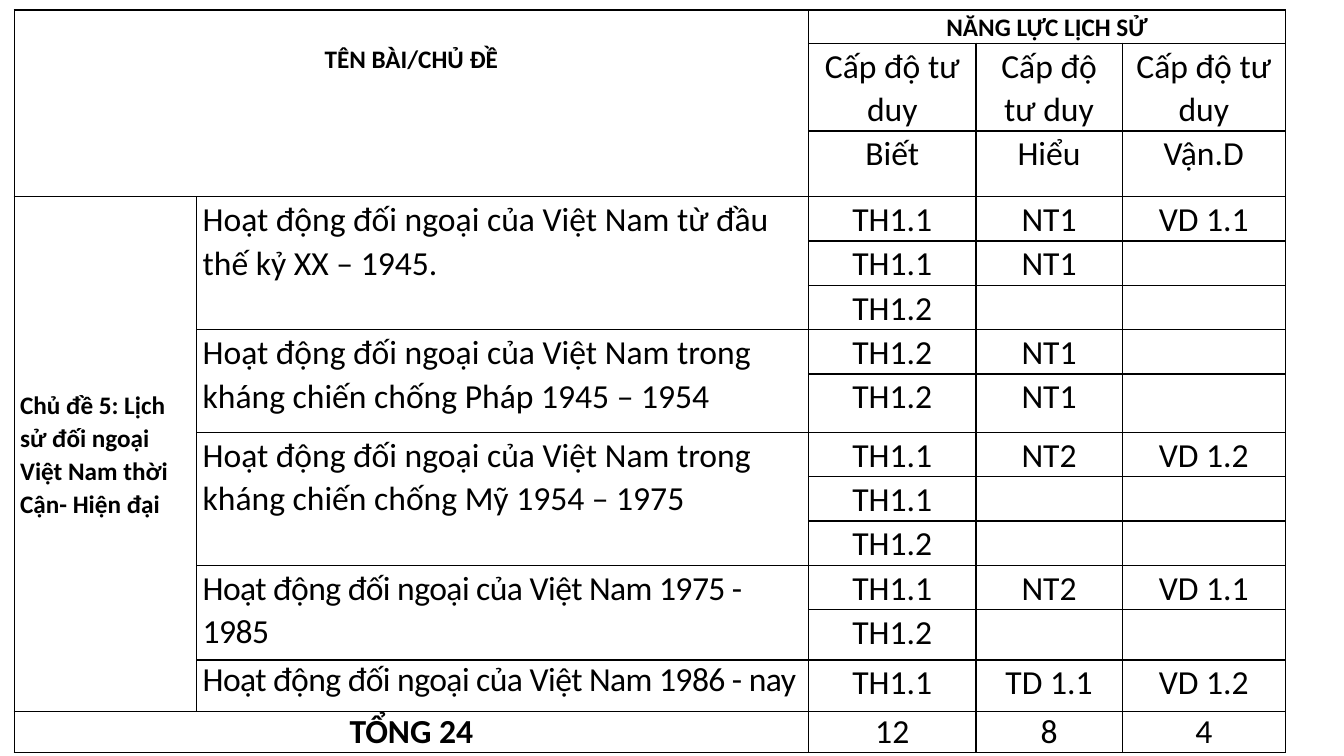
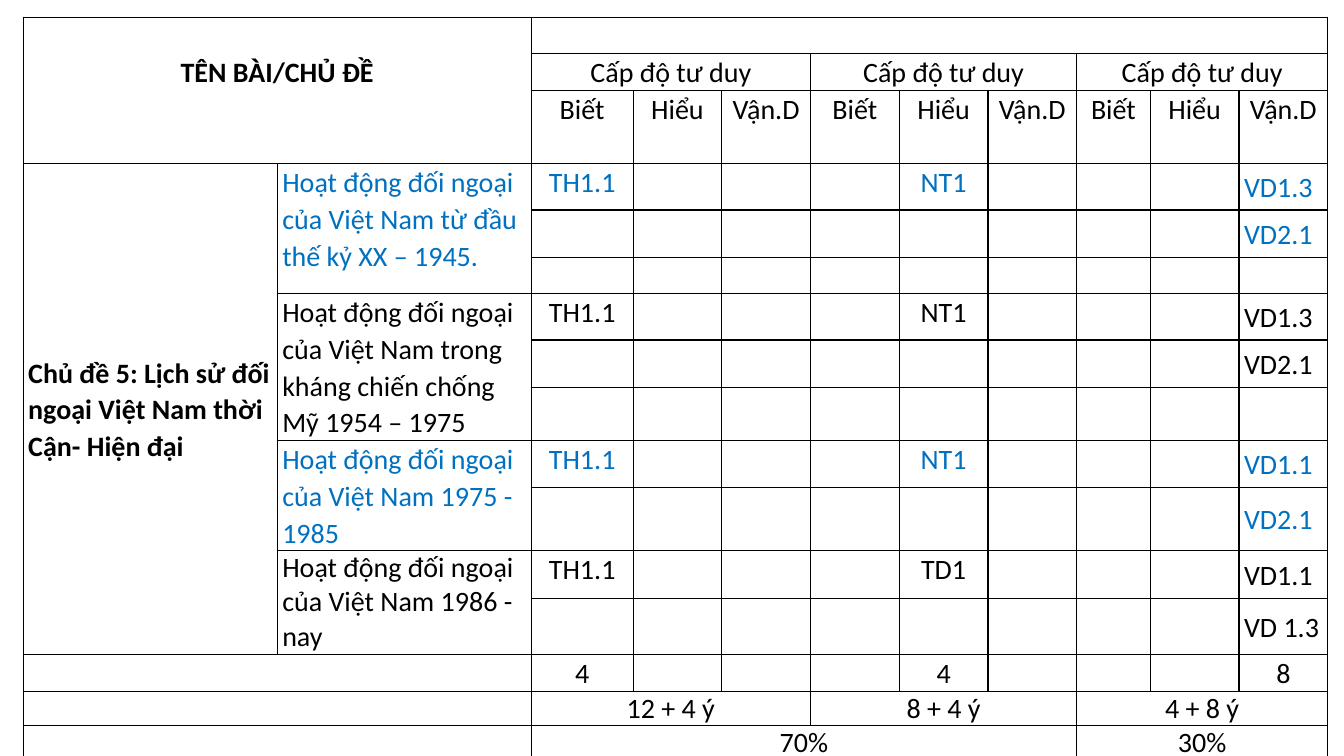
from lxml import etree
from pptx import Presentation
from pptx import util as u
from pptx.dml.color import RGBColor
from pptx.enum import text
from pptx.oxml import ns

BLACK = RGBColor(0x00, 0x00, 0x00)
BLUE = RGBColor(0x00, 0x70, 0xC0)
FONT = "Calibri"
LINE_SPACING = 1.07
HEADING = "TÊN BÀI/CHỦ ĐỀ"
LEVEL = "Cấp độ tư duy"
KNOW, UNDERSTAND, APPLY = LEVELS = ["Biết", "Hiểu", "Vận.D"]
ACTIVITY = "Hoạt động đối ngoại của Việt Nam "
CHAPTER = "Chủ đề 5: Lịch sử đối ngoại Việt Nam thời Cận- Hiện đại"
EARLY = ACTIVITY + "từ đầu thế kỷ XX – 1945."
FRENCH_WAR = ACTIVITY + "trong kháng chiến chống Pháp 1945 – 1954"
AMERICAN_WAR = ACTIVITY + "trong kháng chiến chống Mỹ 1954 – 1975"
POST_WAR = ACTIVITY + "1975 - 1985"
RENEWAL = ACTIVITY + "1986 - nay"


def add_border(cell):
    """Draw a thin black line on the four sides of a cell."""
    props = cell._tc.get_or_add_tcPr()
    for side in ("lnL", "lnR", "lnT", "lnB"):
        line = etree.SubElement(props, ns.qn("a:" + side), w=str(u.Pt(1)))
        fill = etree.SubElement(line, ns.qn("a:solidFill"))
        etree.SubElement(fill, ns.qn("a:srgbClr"), val=str(BLACK))


def add_matrix(slide, left, top, widths, heights, rows, spans, margin, size):
    """Add a bordered table; spans are (row, column, rows, columns)."""
    matrix = slide.shapes.add_table(
        len(heights), len(widths), u.Inches(left), u.Inches(top),
        u.Inches(sum(widths)), u.Inches(sum(heights))).table
    matrix.first_row = matrix.horz_banding = False
    for column, width in zip(matrix.columns, widths):
        column.width = u.Inches(width)
    for row, height in zip(matrix.rows, heights):
        row.height = u.Inches(height)
    for r, row in enumerate(matrix.rows):
        for c, cell in enumerate(row.cells):
            add_border(cell)
            cell.fill.background()
            cell.margin_left = cell.margin_right = u.Inches(margin)
            cell.margin_top = cell.margin_bottom = 0
            words = rows[r][c] if c < len(rows[r]) else ""
            if words:
                cell.text = words
            line = cell.text_frame.paragraphs[0]
            line.alignment = text.PP_ALIGN.CENTER
            if words == CHAPTER or words.startswith(ACTIVITY):
                line.alignment = text.PP_ALIGN.LEFT
            if words != RENEWAL:
                line.line_spacing = LINE_SPACING
            line.font.name = FONT
            line.font.size = u.Pt(size)
            line.font.color.rgb = BLACK
            line.font.bold = words in (HEADING, CHAPTER)
            if words == CHAPTER:
                cell.vertical_anchor = text.MSO_ANCHOR.MIDDLE
    for r, c, down, across in spans:
        matrix.cell(r, c).merge(matrix.cell(r + down - 1, c + across - 1))
    return matrix


deck = Presentation()
deck.slide_width, deck.slide_height = u.Inches(13.33), u.Inches(7.5)
blank = deck.slide_layouts[6]

# Slide 1: multiple-choice matrix
choice_rows = [
    [HEADING, "", "NĂNG LỰC LỊCH SỬ"],
    ["", "", LEVEL, LEVEL, LEVEL],
    ["", "", *LEVELS],
    [CHAPTER, EARLY, "TH1.1", "NT1", "VD 1.1"],
    ["", "", "TH1.1", "NT1"],
    ["", "", "TH1.2"],
    ["", FRENCH_WAR, "TH1.2", "NT1"],
    ["", "", "TH1.2", "NT1"],
    ["", AMERICAN_WAR, "TH1.1", "NT2", "VD 1.2"],
    ["", "", "TH1.1"],
    ["", "", "TH1.2"],
    ["", POST_WAR, "TH1.1", "NT2", "VD 1.1"],
    ["", "", "TH1.2"],
    ["", RENEWAL, "TH1.1", "TD 1.1", "VD 1.2"],
    ["TỔNG 24", "", "12", "8", "4"],
]
choice = add_matrix(
    deck.slides.add_slide(blank), 0.14, 0.1,
    [1.81, 6.07, 1.66, 1.45, 1.62],
    [0.33, 0.86, 0.65] + [0.44] * 4 + [0.58] + [0.44] * 4 + [0.5, 0.51, 0.4],
    choice_rows,
    [(0, 0, 3, 2), (0, 2, 1, 3), (3, 0, 11, 1), (3, 1, 3, 1), (6, 1, 2, 1),
     (8, 1, 3, 1), (11, 1, 2, 1), (14, 0, 1, 2)],
    margin=0.06, size=24)
choice.cell(0, 0).margin_top = u.Inches(0.32)
for r, c in ((0, 0), (0, 2), (3, 0)):
    heading = choice.cell(r, c).text_frame.paragraphs[0]
    heading.font.size = u.Pt(18)
    heading.font.bold = True
choice.cell(14, 0).text_frame.paragraphs[0].font.bold = True
for c in range(5):
    choice.cell(14, c).text_frame.paragraphs[0].line_spacing = None
for r in (11, 13):  # slightly tightened letters
    topic = choice.cell(r, 1).text_frame.paragraphs[0].runs[0]
    topic._r.get_or_add_rPr().set("spc", "-40")

# Slide 2: true/false matrix, three levels under each of three parts
topics = [
    (EARLY, "TH1.1", "NT1", ["VD1.3", "VD2.1", ""], BLUE),
    (AMERICAN_WAR, "TH1.1", "NT1", ["VD1.3", "VD2.1", ""], BLACK),
    (POST_WAR, "TH1.1", "NT1", ["VD1.1", "VD2.1"], BLUE),
    (RENEWAL, "TH1.1", "TD1", ["VD1.1", "VD 1.3"], BLACK),
]
parts = (2, 5, 8)
gap = [""] * 3
judge_rows = [[HEADING], ["", ""] + [LEVEL, "", ""] * 3, ["", ""] + LEVELS * 3]
judge_spans = [(0, 0, 3, 2), (0, 2, 1, 9), (3, 0, 10, 1)]
judge_spans += [(r, c, 1, 3) for r in (1, 14) for c in parts]
judge_spans += [(r, 0, 1, 2) for r in (13, 14, 15)]
judge_spans += [(15, 2, 1, 6), (15, 8, 1, 3)]
row_colors = {}
for topic, know, understand, applied, color in topics:
    first = len(judge_rows)
    judge_spans.append((first, 1, len(applied), 1))
    for i, code in enumerate(applied):
        row_colors[first + i] = color
        lead = [topic, know, *gap, understand] if i == 0 else ["", "", *gap, ""]
        judge_rows.append(["", *lead, *gap, code])
judge_rows[3][0] = CHAPTER
judge_rows += [
    ["", "", "4", *gap, "4", *gap, "8"],
    ["", "", "12 + 4 ý", "", "", "8 + 4 ý", "", "", "4 + 8 ý"],
    ["", "", "70%", "", "", "", "", "", "30%"],
]
judge = add_matrix(
    deck.slides.add_slide(blank), 0.23, 0.17,
    [2.52, 2.52, 1.01] + [0.88] * 5 + [0.73, 0.88, 0.88],
    [0.36, 0.36, 0.73, 0.46, 0.47, 0.36, 0.46, 0.47, 0.53, 0.46, 0.62,
     0.47, 0.56, 0.36, 0.34, 0.34],
    judge_rows, judge_spans, margin=0.05, size=20)
judge.cell(0, 0).margin_top = u.Inches(0.36)
for r, color in row_colors.items():
    for c in range(1, 11):
        judge.cell(r, c).text_frame.paragraphs[0].font.color.rgb = color
    applied_cell = judge.cell(r, 10)
    applied_cell.vertical_anchor = text.MSO_ANCHOR.MIDDLE
    applied_cell.text_frame.paragraphs[0].alignment = text.PP_ALIGN.LEFT
for r in (14, 15):
    for c in range(11):
        judge.cell(r, c).text_frame.paragraphs[0].line_spacing = None

deck.save("out.pptx")
